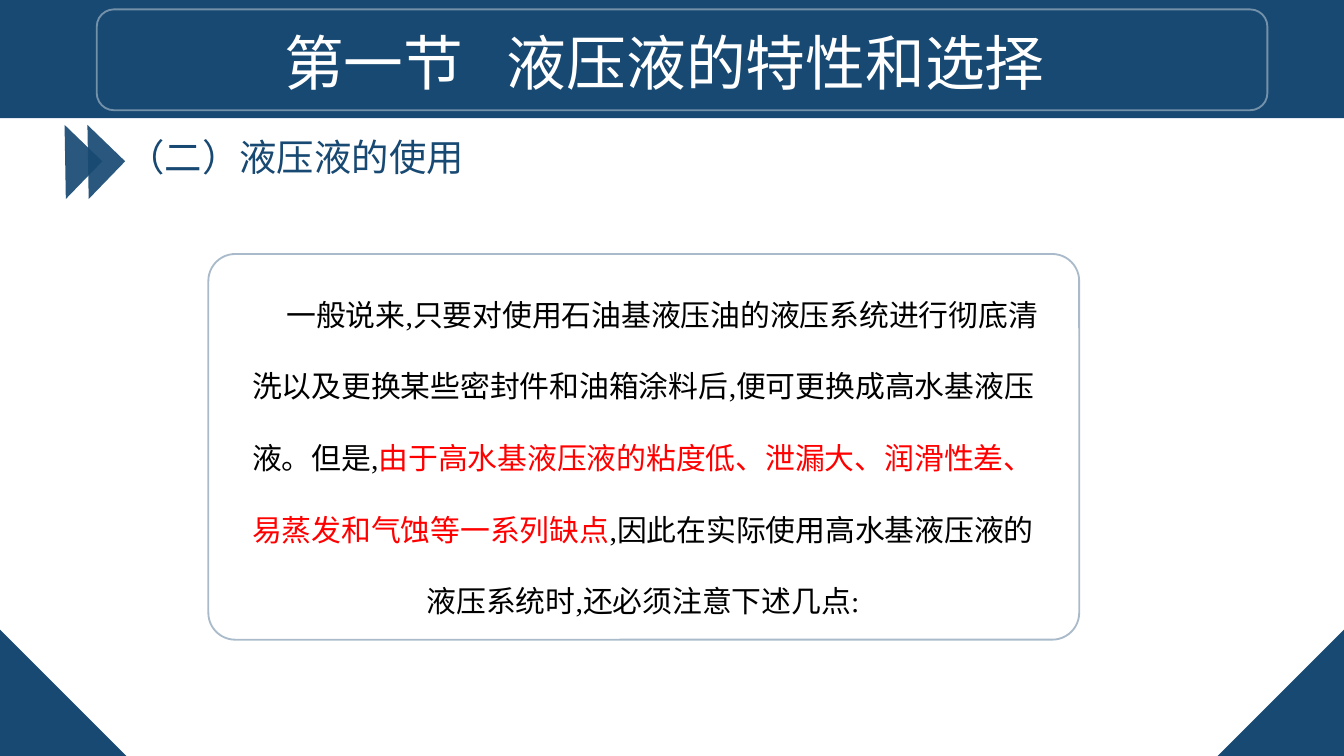
"""Build the slide on using hydraulic fluids."""
from lxml import etree
from pptx import Presentation
from pptx.dml.color import RGBColor
from pptx.enum.shapes import MSO_SHAPE
from pptx.enum.text import PP_ALIGN
from pptx.oxml.ns import qn
from pptx.util import Inches, Pt

RECTANGLE = MSO_SHAPE.RECTANGLE
ROUNDED = MSO_SHAPE.ROUNDED_RECTANGLE
TRIANGLE = MSO_SHAPE.RIGHT_TRIANGLE
CENTER = PP_ALIGN.CENTER

COLORS = {"navy": "184972", "white": "FFFFFF", "black": "000000", "red": "FF0000"}
FONT = "Times New Roman"
WIDTH = 10
HEIGHT = WIDTH * 9 / 16
CORNER, ARROW = 0.94, 0.39
WIDE_SPACE = 16

TITLE = [("第一节", "white"), (" ", "white"), ("液压液的特性和选择", "white")]
SUBTITLE = [("（二）液压液的使用", "navy")]
BODY = [
    ("一般说来,只要对使用石油基液压油的液压系统进行彻底清洗以及更换某些密封件和油箱涂料后,"
     "便可更换成高水基液压液。但是,", "black"),
    ("由于高水基液压液的粘度低、泄漏大、润滑性差、易蒸发和气蚀等一系列缺点", "red"),
    (",因此在实际使用高水基液压液的液压系统时,还必须注意下述几点:", "black"),
]


def color(name):
    return RGBColor.from_string(COLORS[name])


def set_opacity(element, percent):
    for color_element in element.iter(qn("a:srgbClr")):
        etree.SubElement(color_element, qn("a:alpha"), val=str(percent * 1000))


def add_filled(slide, kind, box, rotation=0, opacity=100):
    shape = slide.shapes.add_shape(kind, *map(Inches, box))
    shape.shadow.inherit = False
    shape.rotation = rotation
    shape.fill.solid()
    shape.fill.fore_color.rgb = color("navy")
    shape.line.fill.background()
    if opacity < 100:
        set_opacity(shape.fill._xPr, opacity)


def add_frame(slide, box, line_color, opacity, rounding):
    shape = slide.shapes.add_shape(ROUNDED, *map(Inches, box))
    shape.shadow.inherit = False
    shape.adjustments[0] = rounding
    shape.fill.background()
    shape.line.color.rgb = color(line_color)
    shape.line.width = Pt(1)
    set_opacity(shape.line._ln, opacity)


def add_text(slide, box, runs, size, spacing=1, indent=0):
    frame = slide.shapes.add_textbox(*map(Inches, box)).text_frame
    frame.word_wrap = True
    paragraph = frame.paragraphs[0]
    paragraph.alignment = CENTER
    paragraph.line_spacing = spacing
    if indent:
        paragraph._p.get_or_add_pPr().set("indent", str(Inches(indent)))
    paragraph.font.name = FONT
    paragraph.font.size = Pt(size)
    for text, color_name in runs:
        run = paragraph.add_run()
        run.text = text
        run.font.color.rgb = color(color_name)
        if text == " ":
            run._r.get_or_add_rPr().set("spc", str(WIDE_SPACE * 100))


def main():
    presentation = Presentation()
    presentation.slide_width = Inches(WIDTH)
    presentation.slide_height = Inches(HEIGHT)
    slide = presentation.slides.add_slide(presentation.slide_layouts[6])

    add_filled(slide, RECTANGLE, (0, 0, WIDTH, 0.88))
    for left, rotation in ((0, 0), (WIDTH - CORNER, 270)):
        add_filled(slide, TRIANGLE, (left, HEIGHT - CORNER, CORNER, CORNER), rotation)
    add_frame(slide, (0.72, 0.07, 8.71, 0.75), "white", 40, 0.17)
    add_text(slide, (0.77, 0.14, 8.35, 0.64), TITLE, 32)

    for left in (0.29, 0.46):
        add_filled(slide, TRIANGLE, (left, 1.01, ARROW, ARROW), 224, 92)
    add_text(slide, (0.82, 0.95, 2.76, 0.44), SUBTITLE, 20)

    add_frame(slide, (1.55, 1.89, 6.48, 2.87), "navy", 36, 0.07)
    add_text(slide, (1.68, 1.89, 6.21, 2.79), BODY, 16, spacing=2, indent=0.29)
    presentation.save("out.pptx")


if __name__ == "__main__":
    main()
